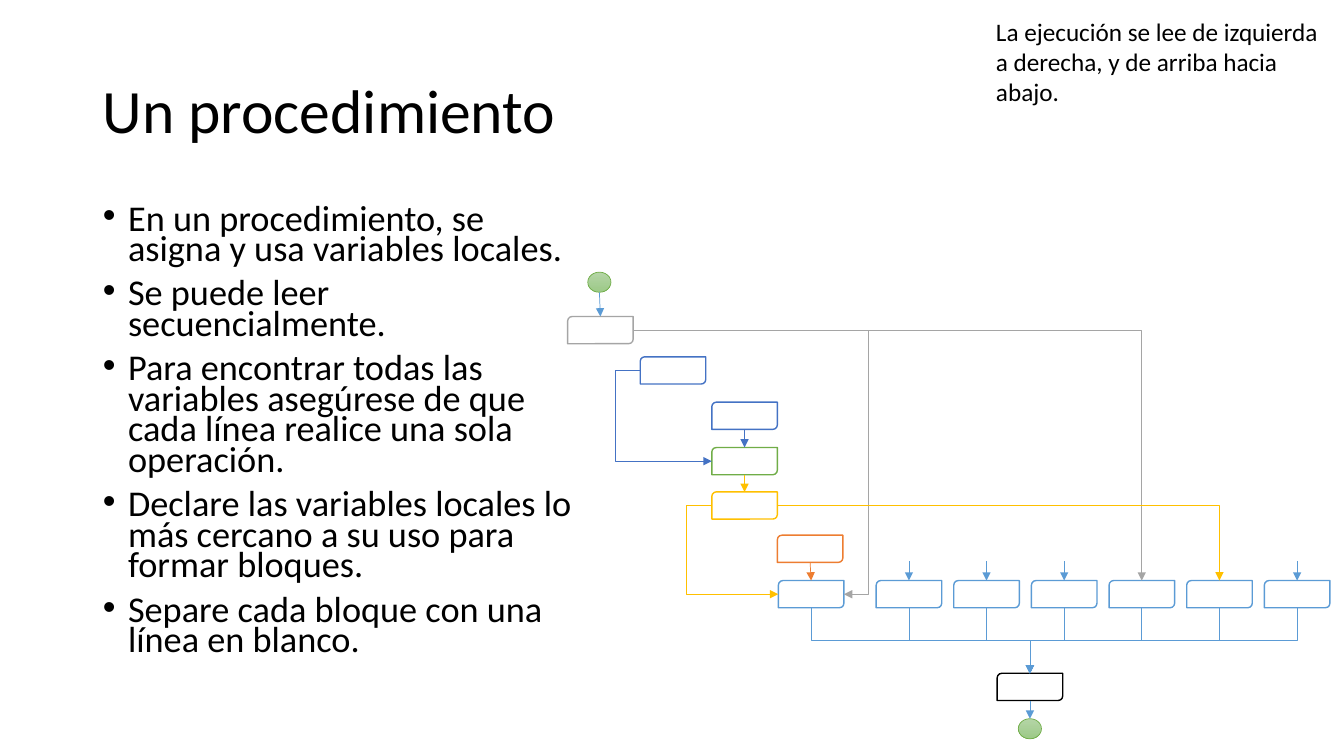
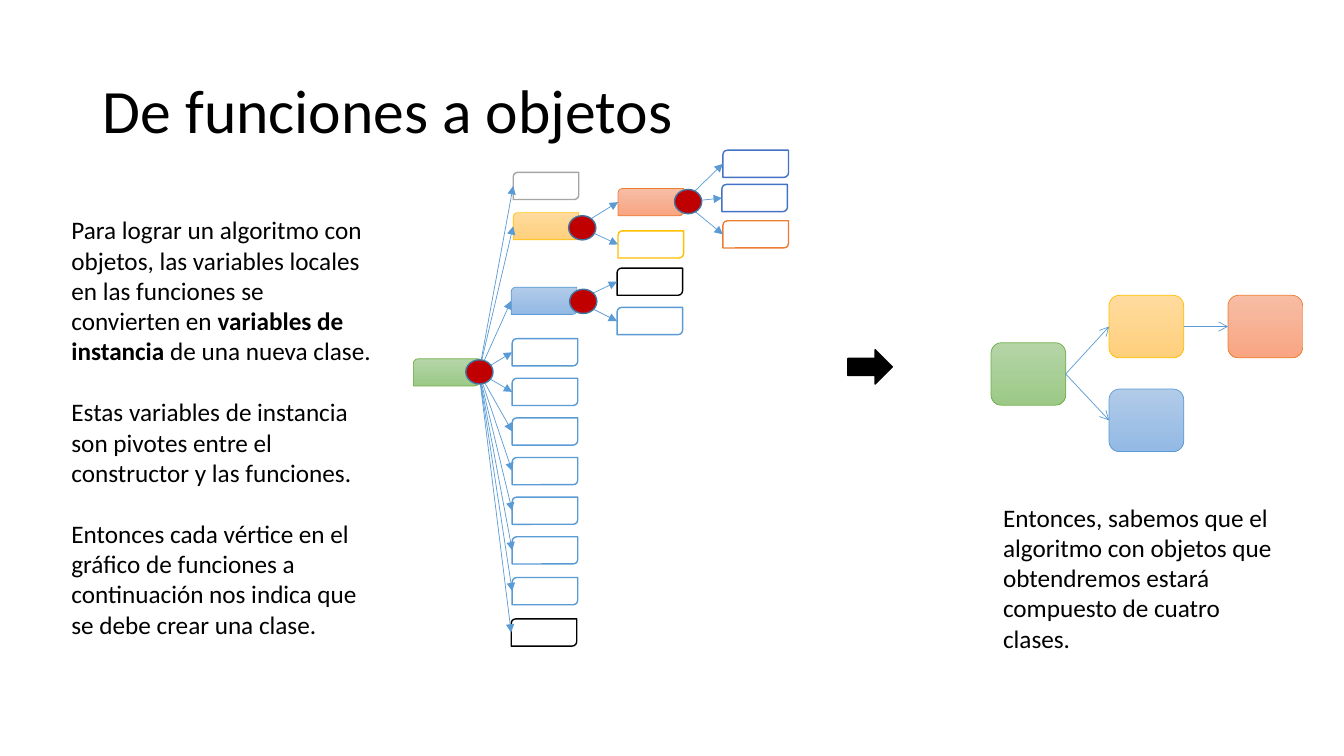
"""Build two slides that compare procedures and objects as flow diagrams."""
from lxml import etree
from pptx import Presentation
from pptx import util as u
from pptx.dml.color import RGBColor
from pptx.enum import shapes, text
from pptx.oxml.ns import qn

FONT = "Calibri"
BLACK = RGBColor(0x00, 0x00, 0x00)
WHITE = RGBColor(0xFF, 0xFF, 0xFF)
GRAY = RGBColor(0xA5, 0xA5, 0xA5)
NAVY = RGBColor(0x44, 0x72, 0xC4)
BLUE = RGBColor(0x5B, 0x9B, 0xD5)
GREEN = RGBColor(0x70, 0xAD, 0x47)
YELLOW = RGBColor(0xFF, 0xC0, 0x00)
ORANGE = RGBColor(0xED, 0x7D, 0x31)
RED = RGBColor(0xC0, 0x00, 0x00)
HUB_EDGE = RGBColor(0x43, 0x73, 0x9E)
GRADIENTS = {
    GREEN: (RGBColor(0xB5, 0xD5, 0xA7), RGBColor(0x9C, 0xC9, 0x87)),
    YELLOW: (RGBColor(0xFF, 0xDB, 0x9E), RGBColor(0xFF, 0xD0, 0x7C)),
    BLUE: (RGBColor(0xB1, 0xCB, 0xE9), RGBColor(0x93, 0xB9, 0xE4)),
    ORANGE: (RGBColor(0xF7, 0xBD, 0xA5), RGBColor(0xF8, 0xA5, 0x82)),
}
TOP, LEFT, BOTTOM, RIGHT = range(4)
STEP_SIZE = (0.65, 0.27)
CLASS_SIZE = (0.74, 0.62)
TERMINAL_SIZE = (0.23, 0.2)
HUB_SIZE = (0.27, 0.24)

PROCEDURE_TITLE = "Un procedimiento"
PROCEDURE_BULLETS = [
    "En un procedimiento, se asigna y usa variables locales.",
    "Se puede leer secuencialmente.",
    "Para encontrar todas las variables asegúrese de que cada línea realice una sola operación.",
    "Declare las variables locales lo más cercano a su uso para formar bloques.",
    "Separe cada bloque con una línea en blanco.",
]
READING_NOTE = [["La ejecución se lee de izquierda a derecha, y de arriba hacia abajo."]]
ROW_TOP = 5.76
PROCEDURE_STEPS = {
    "input": (5.63, 3.14, GRAY),
    "far local": (6.35, 3.54, NAVY),
    "near local": (7.06, 3.99, NAVY),
    "join": (7.06, 4.44, GREEN),
    "shared": (7.06, 4.88, YELLOW),
    "detail": (7.71, 5.31, ORANGE),
    "result": (9.89, 6.68, BLACK),
    "use 0": (7.72, ROW_TOP, BLUE),
    **{f"use {i + 1}": (8.69 + 0.77 * i, ROW_TOP, BLUE) for i in range(6)},
}
STEP_ARROWS = [("near local", "join", NAVY), ("join", "shared", YELLOW),
               ("detail", "use 0", ORANGE)]
OPEN_USES = ["use 1", "use 2", "use 3", "use 6"]
SIDE_ELBOWS = [
    ("input", RIGHT, "use 0", RIGHT, 8.61, GRAY),
    ("shared", LEFT, "use 0", LEFT, 6.81, YELLOW),
    ("far local", LEFT, "join", LEFT, 6.1, NAVY),
]
CORNER_ELBOWS = [("input", "use 4", GRAY), ("shared", "use 5", YELLOW)]

OBJECTS_TITLE = "De funciones a objetos"
OBJECTS_TEXT = [
    ["Para lograr un algoritmo con objetos, las variables locales en las funciones se convierten en ",
     "variables de instancia ", "de una nueva clase."],
    ["Estas variables de instancia son pivotes entre el constructor y las funciones."],
    ["Entonces cada vértice en el gráfico de funciones a continuación nos indica que se debe "
     "crear una clase."],
]
CONCLUSION = [["Entonces, sabemos que el algoritmo con objetos que obtendremos estará compuesto "
               "de cuatro clases."]]
PIVOTS = {
    "root": (4.1, 3.56, GREEN),
    "yellow": (5.09, 2.11, YELLOW),
    "blue": (5.07, 2.85, BLUE),
    "orange": (6.13, 1.87, ORANGE),
}
FUNCTIONS = {
    "root": [(5.09, 1.71, GRAY)] + [(5.08, 3.36 + 0.393 * i, BLUE) for i in range(6)]
    + [(5.08, 5.73, BLUE), (5.07, 6.14, BLACK)],
    "yellow": [(6.13, 2.29, YELLOW)],
    "blue": [(6.12, 2.66, BLACK), (6.12, 3.05, BLUE)],
    "orange": [(7.17, 1.49, NAVY), (7.16, 1.83, NAVY), (7.17, 2.19, ORANGE)],
}
PIVOT_LINKS = [("root", "yellow"), ("root", "blue"), ("yellow", "orange")]
HUBS = [(6.69, 1.88), (5.64, 2.14), (4.62, 3.57), (5.65, 2.87)]
CLASSES = {
    "root": (9.83, 3.4, GREEN),
    "yellow": (11, 2.93, YELLOW),
    "orange": (12.18, 2.93, ORANGE),
    "blue": (11, 3.86, BLUE),
}


def add_figure(slide, kind, position, size, line, fill=None, width=1):
    """Add a preset shape; without a fill it takes the gradient of its line colour."""
    shape = slide.shapes.add_shape(kind, *map(u.Inches, (*position, *size)))
    shape.shadow.inherit = False
    if fill is None:
        shape.fill.gradient()
        shape.fill.gradient_angle = 270
        for stop, color in zip(shape.fill.gradient_stops, GRADIENTS[line]):
            stop.color.rgb = color
    else:
        shape.fill.solid()
        shape.fill.fore_color.rgb = fill
    shape.line.color.rgb = line
    shape.line.width = u.Pt(width)
    return shape


def add_step(slide, left, top, color, pivot=False):
    """Add one box of a flow diagram."""
    fill, width = (None, 0.5) if pivot else (WHITE, 1)
    return add_figure(slide, shapes.MSO_SHAPE.ROUND_2_DIAG_RECTANGLE, (left, top),
                      STEP_SIZE, color, fill, width)


def side(shape, edge):
    """Return the middle of one side of a shape, in inches."""
    left, top = shape.left.inches, shape.top.inches
    width, height = shape.width.inches, shape.height.inches
    return {
        TOP: (left + width / 2, top),
        LEFT: (left, top + height / 2),
        BOTTOM: (left + width / 2, top + height),
        RIGHT: (left + width, top + height / 2),
    }[edge]


def add_arrow(slide, begin, end, color=BLUE, head="triangle",
              kind=shapes.MSO_CONNECTOR.STRAIGHT):
    """Add a thin connector with an arrowhead at its end."""
    connector = slide.shapes.add_connector(kind, *map(u.Inches, (*begin, *end)))
    connector.line.color.rgb = color
    connector.line.width = u.Pt(0.5)
    properties = connector._element.spPr
    etree.SubElement(properties.find(qn("a:ln")), qn("a:tailEnd"), type=head)
    etree.SubElement(properties, qn("a:effectLst"))
    return connector


def add_side_elbow(slide, begin, end, via, color):
    """Add an elbow whose vertical part runs at the given x."""
    connector = add_arrow(slide, begin, end, color, kind=shapes.MSO_CONNECTOR.ELBOW)
    ratio = round((via - begin[0]) / (end[0] - begin[0]) * 100000)
    adjustments = connector._element.spPr.find(".//" + qn("a:avLst"))
    etree.SubElement(adjustments, qn("a:gd"), name="adj1", fmla=f"val {ratio}")


def add_corner_elbow(slide, begin, end, color):
    """Add an elbow that goes right and then down."""
    connector = add_arrow(slide, begin, end, color, kind=shapes.MSO_CONNECTOR.ELBOW)
    connector._element.spPr.find(qn("a:prstGeom")).set("prst", "bentConnector2")


def add_drop_elbow(slide, begin, end):
    """Add an elbow that goes down, across and down, as a turned connector."""
    center_x, center_y = (begin[0] + end[0]) / 2, (begin[1] + end[1]) / 2
    turn, sign = (90, 1) if begin[0] > end[0] else (270, -1)
    along = sign * (end[1] - begin[1]) / 2
    across = abs(end[0] - begin[0]) / 2
    connector = add_arrow(slide, (center_x - along, center_y - across),
                          (center_x + along, center_y + across),
                          kind=shapes.MSO_CONNECTOR.ELBOW)
    connector._element.spPr.find(qn("a:xfrm")).set("rot", str(turn * 60000))


def place(shape, left, top, width, height):
    """Move and size a placeholder."""
    shape.left, shape.top = u.Inches(left), u.Inches(top)
    shape.width, shape.height = u.Inches(width), u.Inches(height)


def style(paragraph, size):
    """Give a paragraph the common font and alignment."""
    paragraph.alignment = text.PP_ALIGN.LEFT
    paragraph.font.name = FONT
    paragraph.font.size = u.Pt(size)
    paragraph.font.color.rgb = BLACK


def add_slide(presentation, layout, title):
    """Add a slide with the shared title style."""
    slide = presentation.slides.add_slide(presentation.slide_layouts.get_by_name(layout))
    shape = slide.shapes.title
    place(shape, 0.92, 0.4, 11.5, 1.45)
    shape.text_frame.text = title
    shape.text_frame.auto_size = text.MSO_AUTO_SIZE.NONE
    shape.text_frame.vertical_anchor = text.MSO_ANCHOR.MIDDLE
    paragraph = shape.text_frame.paragraphs[0]
    style(paragraph, 44)
    paragraph.line_spacing = 0.9
    return slide


def add_note(slide, position, paragraphs):
    """Add a text box; every second run of a paragraph is bold."""
    frame = slide.shapes.add_textbox(*map(u.Inches, position)).text_frame
    frame.word_wrap = True
    for number, runs in enumerate(paragraphs):
        paragraph = frame.add_paragraph() if number else frame.paragraphs[0]
        style(paragraph, 18)
        paragraph.space_before = u.Pt(22 if number else 0)
        for index, words in enumerate(runs):
            run = paragraph.add_run()
            run.text = words
            if index % 2:
                run.font.bold = True


def add_bullets(slide, items):
    """Fill the body placeholder with the bullet list."""
    body = slide.placeholders[1]
    place(body, 0.92, 2, 4.98, 4.76)
    frame = body.text_frame
    frame.text = "\n".join(items)
    frame.auto_size = text.MSO_AUTO_SIZE.NONE
    for paragraph in frame.paragraphs:
        style(paragraph, 25.9)
        paragraph.line_spacing = 0.7
        paragraph.space_before = u.Pt(10)
        properties = paragraph._p.get_or_add_pPr()
        properties.set("marL", str(u.Inches(0.25)))
        properties.set("indent", str(u.Inches(-0.25)))


def build_procedure(presentation):
    """Build the slide about a procedure."""
    slide = add_slide(presentation, "Title and Content", PROCEDURE_TITLE)
    add_bullets(slide, PROCEDURE_BULLETS)
    start, finish = [add_figure(slide, shapes.MSO_SHAPE.OVAL, position, TERMINAL_SIZE,
                                GREEN, width=0.5)
                     for position in ((5.83, 2.7), (10.1, 7.13))]
    steps = {name: add_step(slide, *values) for name, values in PROCEDURE_STEPS.items()}
    add_arrow(slide, side(start, BOTTOM), side(steps["input"], TOP))
    add_arrow(slide, side(steps["result"], BOTTOM), side(finish, TOP))
    for source, target, color in STEP_ARROWS:
        add_arrow(slide, side(steps[source], BOTTOM), side(steps[target], TOP), color)
    for name in OPEN_USES:
        x, y = side(steps[name], TOP)
        add_arrow(slide, (x, y - 0.19), (x, y))
    for source, out, target, into, via, color in SIDE_ELBOWS:
        add_side_elbow(slide, side(steps[source], out), side(steps[target], into), via, color)
    for source, target, color in CORNER_ELBOWS:
        add_corner_elbow(slide, side(steps[source], RIGHT), side(steps[target], TOP), color)
    for name, step in steps.items():
        if name.startswith("use"):
            add_drop_elbow(slide, side(step, BOTTOM), side(steps["result"], TOP))
    add_note(slide, (9.78, 0.11, 3.52, 1.01), READING_NOTE)


def build_objects(presentation):
    """Build the slide that turns functions into objects."""
    slide = add_slide(presentation, "Title Only", OBJECTS_TITLE)
    pivots = {name: add_step(slide, *values, pivot=True) for name, values in PIVOTS.items()}
    links = [(parent, pivots[child]) for parent, child in PIVOT_LINKS]
    links += [(parent, add_step(slide, *values))
              for parent, children in FUNCTIONS.items() for values in children]
    for parent, child in links:
        add_arrow(slide, side(pivots[parent], RIGHT), side(child, LEFT))
    for position in HUBS:
        add_figure(slide, shapes.MSO_SHAPE.OVAL, position, HUB_SIZE, HUB_EDGE, RED)
    classes = {name: add_figure(slide, shapes.MSO_SHAPE.ROUNDED_RECTANGLE, (left, top),
                                CLASS_SIZE, color, width=0.5)
               for name, (left, top, color) in CLASSES.items()}
    for parent, child in PIVOT_LINKS:
        source, target = classes[parent], classes[child]
        connector = add_arrow(slide, side(source, RIGHT), side(target, LEFT), head="arrow")
        connector.begin_connect(source, RIGHT)
        connector.end_connect(target, LEFT)
    add_figure(slide, shapes.MSO_SHAPE.RIGHT_ARROW, (8.41, 3.47), (0.44, 0.34), BLACK, BLACK)
    add_note(slide, (0.61, 2.08, 3.23, 4.34), OBJECTS_TEXT)
    add_note(slide, (9.85, 4.93, 3.06, 1.62), CONCLUSION)


def main():
    """Create and save the presentation."""
    presentation = Presentation()
    presentation.slide_width = u.Inches(13.33)
    presentation.slide_height = u.Inches(7.5)
    build_procedure(presentation)
    build_objects(presentation)
    presentation.save("out.pptx")


if __name__ == "__main__":
    main()
